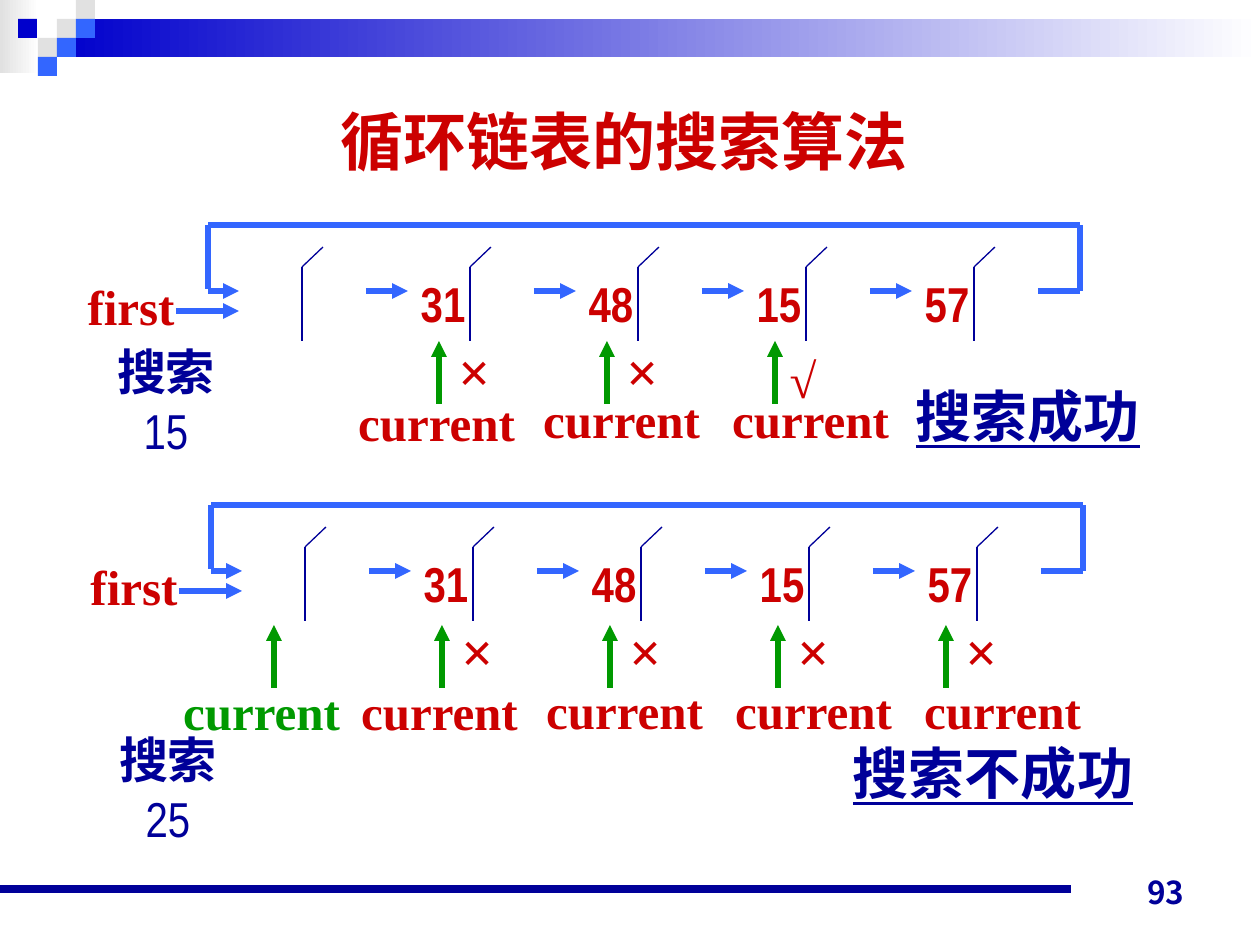
from lxml.etree import SubElement
from pptx import Presentation
from pptx.dml.color import RGBColor
from pptx.enum.shapes import MSO_CONNECTOR, MSO_SHAPE
from pptx.enum.text import MSO_ANCHOR, MSO_AUTO_SIZE, PP_ALIGN
from pptx.oxml.ns import qn
from pptx.util import Emu, Pt

SCALE = 914400 / 126
COLORS = {"navy": "000099", "blue": "0000CC", "sky": "3366FF", "gray": "E1E1E1",
          "red": "CC0000", "green": "009900", "white": "FFFFFF"}
SERIF, NARROW, SANS = "Times New Roman", "Arial Narrow", "Noto Sans CJK JP"

TITLE = "循环链表的搜索算法"
PAGE_NUMBER = "93"
NODE_VALUES = ["", "31", "48", "15", "57"]
NODE_STEP = 168
SQUARE = 19
SQUARES = [(57, 19, "gray"), (76, 0, "gray"), (76, 19, "sky"), (38, 38, "gray"),
           (18, 19, "blue"), (57, 38, "sky"), (38, 57, "sky")]

# Each visit: node index, mark, left and top of its "current" label, label colour.
# Label places and arrow tops are relative to the origin of the list.
SEARCHES = [
    {"origin": (0, 0), "arrow_top": 341, "key": "15", "key_at": (91, 364),
     "result": "搜索成功", "result_at": (901, 374, 256, 83),
     "visits": [(1, "×", 345, 386, "red"), (2, "×", 530, 383, "red"),
                (3, "√", 719, 383, "red")]},
    {"origin": (3, 280), "arrow_top": 345, "key": "25", "key_at": (93, 752),
     "result": "搜索不成功", "result_at": (838, 731, 312, 83),
     "visits": [(0, "", 167, 395, "green"), (1, "×", 345, 395, "red"),
                (2, "×", 530, 394, "red"), (3, "×", 719, 394, "red"),
                (4, "×", 908, 394, "red")]},
]


def px(value):
    return Emu(round(value * SCALE))


def rgb(color):
    return RGBColor.from_string(COLORS[color])


def place(shape, left, top, width, height):
    shape.left, shape.top, shape.width, shape.height = map(px, (left, top, width, height))


def write(shape, *runs, size=28, font=SERIF, color="red", underline=False,
          align=PP_ALIGN.CENTER, anchor=MSO_ANCHOR.MIDDLE, wrap=False, inset=None,
          grow=True):
    """Fill a shape with one paragraph; each run is a (text, bold) pair."""
    frame = shape.text_frame
    frame.word_wrap = wrap
    frame.auto_size = MSO_AUTO_SIZE.SHAPE_TO_FIT_TEXT if grow else MSO_AUTO_SIZE.NONE
    frame.vertical_anchor = anchor
    if inset:
        frame.margin_left = frame.margin_right = px(inset[0])
        frame.margin_top = frame.margin_bottom = px(inset[1])
    paragraph = frame.paragraphs[0]
    paragraph.alignment = align
    for text, bold in runs:
        run = paragraph.add_run()
        run.text = text
        run.font.name, run.font.size = font, Pt(size)
        run.font.bold, run.font.underline = bold, underline
        run.font.color.rgb = rgb(color)


def add_text(slide, box, *runs, **style):
    shape = slide.shapes.add_textbox(*map(px, box))
    write(shape, *runs, **style)


def add_line(slide, start, end, color="sky", width=3, arrow=False):
    line = slide.shapes.add_connector(MSO_CONNECTOR.STRAIGHT, *map(px, (*start, *end)))
    line.line.color.rgb = rgb(color)
    line.line.width = Pt(width)
    if arrow:
        SubElement(line.line._get_or_add_ln(), qn("a:tailEnd"), type="triangle")
    SubElement(line._element.spPr, qn("a:effectLst"))


def add_block(slide, box, *colors):
    """Add a borderless rectangle; two colours make a left-to-right gradient."""
    shape = slide.shapes.add_shape(MSO_SHAPE.RECTANGLE, *map(px, box))
    shape.shadow.inherit = False
    shape.line.fill.background()
    if len(colors) == 1:
        shape.fill.solid()
        shape.fill.fore_color.rgb = rgb(colors[0])
        return
    shape.fill.gradient()
    shape.fill.gradient_angle = 0
    for stop, color, position in zip(shape.fill.gradient_stops, colors, (0, 1)):
        stop.color.rgb = rgb(color)
        stop.position = position


def add_decoration(slide):
    add_block(slide, (0, 0, 39, 73), "gray", "white")
    add_block(slide, (57, 19, 1203, 38), "blue", "white")
    for left, top, color in SQUARES:
        add_block(slide, (left, top, SQUARE, SQUARE), color)
    add_line(slide, (0, 889), (1071, 889), "navy", 4.5)


def add_circular_list(slide, origin):
    x, y = origin

    def link(start, end, **style):
        add_line(slide, (x + start[0], y + start[1]), (x + end[0], y + end[1]), **style)

    for index, value in enumerate(NODE_VALUES):
        left = 240 + index * NODE_STEP
        divider = left + 62
        link((divider, 267), (divider, 341), color="navy", width=0.75)
        link((divider, 267), (divider + 21, 247), color="navy", width=0.75)
        if index < len(NODE_VALUES) - 1:
            link((left + 126, 291), (left + NODE_STEP, 291), arrow=True)
        if value:
            add_text(slide, (x + left, y + 267, 70, 72), (value, True), font=NARROW)

    link((208, 291), (239, 291), arrow=True)
    link((176, 311), (239, 311), arrow=True)
    loop = [(1038, 291), (1080, 291), (1080, 225), (208, 225), (208, 289)]
    for start, end in zip(loop, loop[1:]):
        link(start, end)
    add_text(slide, (x + 75, y + 270, 112, 72), ("first", True))


def add_visits(slide, origin, arrow_top, visits):
    x, y = origin
    for index, mark, label_left, label_top, color in visits:
        arrow_x = x + 271 + index * NODE_STEP
        tip = y + arrow_top
        add_line(slide, (arrow_x, tip + 63), (arrow_x, tip), "green", arrow=True)
        if mark == "×":
            add_text(slide, (arrow_x + 7, y + 331, 56, 79), (mark, True), size=32)
        elif mark:
            add_text(slide, (arrow_x + 2, y + 343, 52, 72), (mark, True))
        add_text(slide, (x + label_left, y + label_top, 183, 72), ("current", True),
                 color=color)


def main():
    presentation = Presentation()
    presentation.slide_width, presentation.slide_height = px(1260), px(945)
    slide = presentation.slides.add_slide(presentation.slide_layouts[5])
    add_decoration(slide)

    title = slide.shapes.title
    place(title, 325, 95, 611, 92)
    write(title, (TITLE, True), size=36, align=PP_ALIGN.LEFT, anchor=MSO_ANCHOR.TOP,
          wrap=True, inset=(15, 8))
    add_text(slide, (903, 854, 294, 63), (PAGE_NUMBER, True), size=18, font=SANS,
             color="navy", align=PP_ALIGN.RIGHT, anchor=MSO_ANCHOR.BOTTOM, wrap=True,
             grow=False)

    for search in SEARCHES:
        add_circular_list(slide, search["origin"])
        add_visits(slide, search["origin"], search["arrow_top"], search["visits"])
        add_text(slide, (*search["key_at"], 150, 72), ("搜索", True),
                 (search["key"], False), font=NARROW, color="navy", wrap=True, grow=False)
        add_text(slide, search["result_at"], (search["result"], True), size=32,
                 color="navy", underline=True, align=PP_ALIGN.LEFT,
                 anchor=MSO_ANCHOR.TOP, inset=(15, 8))

    presentation.save("out.pptx")


if __name__ == "__main__":
    main()
